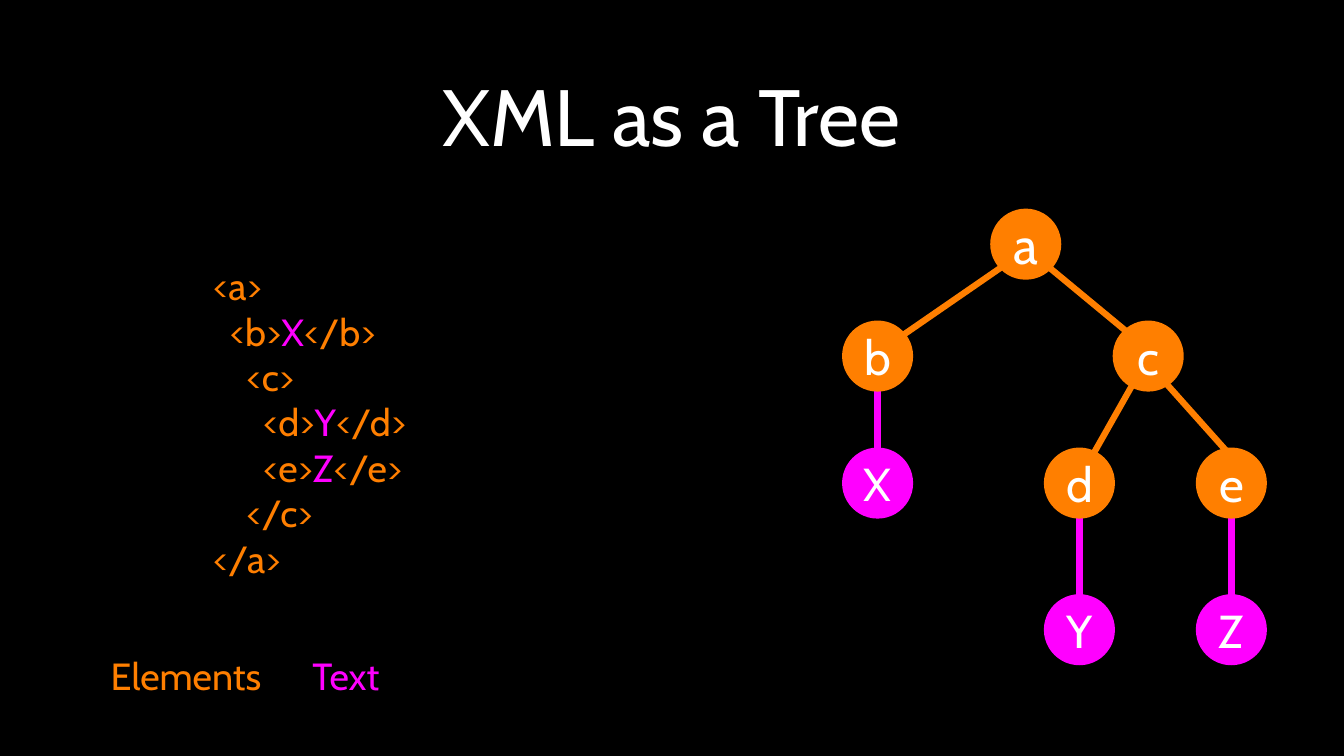
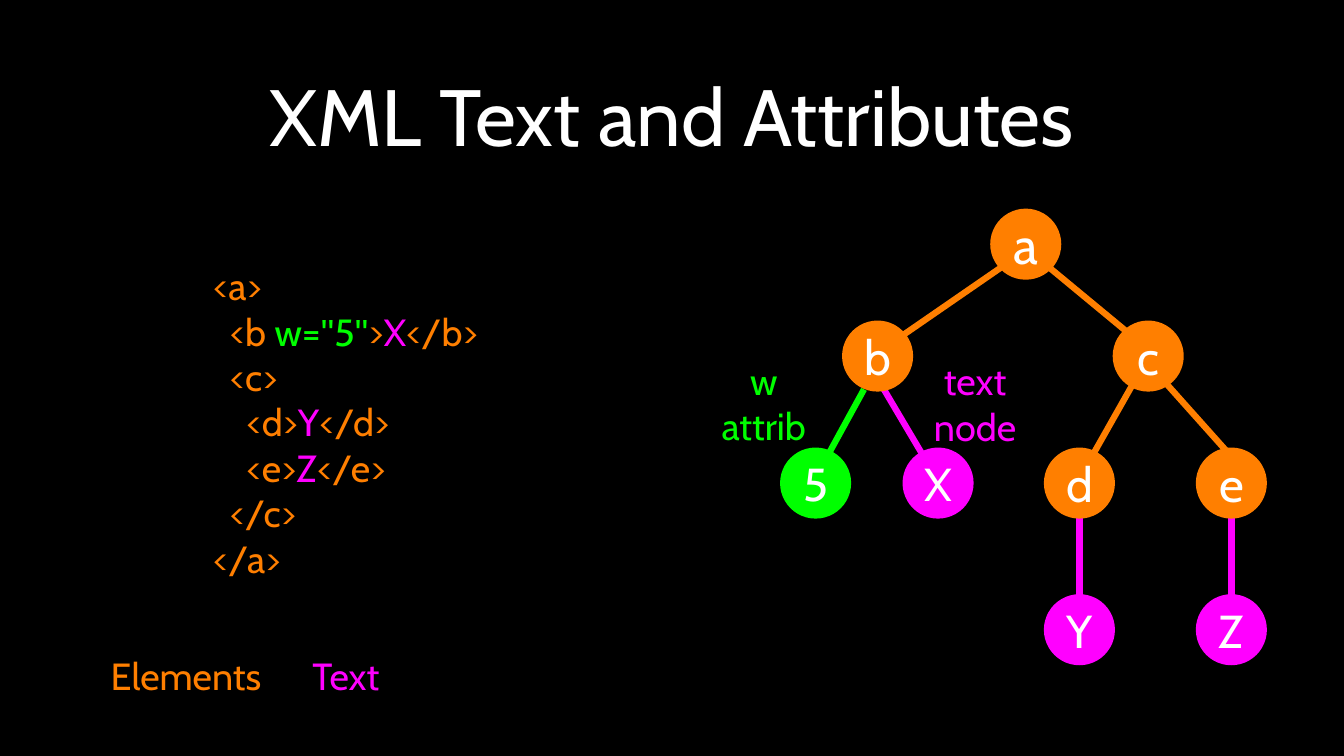
from pptx import Presentation
from pptx.dml.color import RGBColor
from pptx.enum.shapes import MSO_CONNECTOR, MSO_SHAPE
from pptx.enum.text import MSO_ANCHOR, PP_ALIGN
from pptx.oxml.ns import qn
from pptx.util import Inches, Pt
from lxml import etree

CENTER, LEFT = PP_ALIGN.CENTER, PP_ALIGN.LEFT
MIDDLE = MSO_ANCHOR.MIDDLE
ELLIPSE, STRAIGHT = MSO_SHAPE.OVAL, MSO_CONNECTOR.STRAIGHT

BLACK = RGBColor(0x00, 0x00, 0x00)
WHITE = RGBColor(0xFF, 0xFF, 0xFF)
ELEMENT = RGBColor(0xFF, 0x7F, 0x00)
TEXT = RGBColor(0xFF, 0x00, 0xFF)
ATTRIBUTE = RGBColor(0x00, 0xFF, 0x00)

FONT, QUOTE_FONT = "Cabin", "Arial"
TITLE_SIZE, BODY_SIZE = 76, 36
NODE_SIZE = {ELEMENT: 46, TEXT: 44, ATTRIBUTE: 44}
ROOT_SIZE = 49
DIAMETER = 0.94
INDENT = 0.22  # one level of code
EDGE_WIDTH = 6


def leaf(name, value):
    """Code runs of an element that holds only text."""
    return [(f"<{name}>", ELEMENT), (value, TEXT), (f"</{name}>", ELEMENT)]


def tag(name):
    return [(f"<{name}>", ELEMENT)]


# Tree parts on both slides: nodes as (label, colour, left, top),
# edges as (colour, start, end)
TREE_NODES = [
    ("a", ELEMENT, 13.1, 2.76),
    ("b", ELEMENT, 11.14, 4.24),
    ("c", ELEMENT, 14.72, 4.24),
    ("d", ELEMENT, 13.81, 5.92),
    ("e", ELEMENT, 15.82, 5.92),
    ("Y", TEXT, 13.81, 7.86),
    ("Z", TEXT, 15.82, 7.86),
]
TREE_EDGES = [
    (TEXT, (14.28, 6.77), (14.28, 7.9)),
    (TEXT, (16.29, 6.77), (16.29, 7.9)),
    (ELEMENT, (13.4, 3.43), (11.82, 4.52)),
    (ELEMENT, (13.81, 3.48), (14.97, 4.44)),
    (ELEMENT, (15.01, 5.04), (14.41, 6.1)),
    (ELEMENT, (15.38, 5.02), (16.22, 5.96)),
]
# Labels as (lines, colour, box)
LEGEND = [
    (["Elements"], ELEMENT, (1.3, 8.6, 2.32, 0.68)),
    (["Text"], TEXT, (4.07, 8.6, 1.01, 0.68)),
]

# Code lines are (indent level, runs)
SLIDES = [
    {
        "title": "XML as a Tree",
        "code_width": 2.98,
        "code": [(0, tag("a")), (1, leaf("b", "X")), (2, tag("c")),
                 (3, leaf("d", "Y")), (3, leaf("e", "Z")),
                 (2, tag("/c")), (0, tag("/a"))],
        "nodes": [("X", TEXT, 11.14, 5.92)],
        "edges": [(TEXT, (11.61, 5.01), (11.61, 6.14))],
        "labels": [],
    },
    {
        "title": "XML Text and Attributes",
        "code_width": 4.02,
        "code": [(0, tag("a")),
                 (1, [("<b ", ELEMENT), ("w=", ATTRIBUTE), ('"', ATTRIBUTE),
                      ("5", ATTRIBUTE), ('"', ATTRIBUTE), (">", ELEMENT),
                      ("X", TEXT), ("</b>", ELEMENT)]),
                 (1, tag("c")), (2, leaf("d", "Y")), (2, leaf("e", "Z")),
                 (1, tag("/c")), (0, tag("/a"))],
        "nodes": [("X", TEXT, 11.94, 5.92), ("5", ATTRIBUTE, 10.32, 5.92)],
        "edges": [(TEXT, (11.61, 5.01), (12.22, 6.04)),
                  (ATTRIBUTE, (11.43, 5.15), (10.97, 5.99))],
        "labels": [(["w", "attrib"], ATTRIBUTE, (9.49, 4.7, 1.23, 1.25)),
                   (["text", "node"], TEXT, (12.33, 4.71, 1.14, 1.25))],
    },
]


def write(shape, lines, size, align=CENTER, inset=0):
    """Fill a shape with lines given as (indent level, runs)."""
    tf = shape.text_frame
    tf.word_wrap = True
    tf.vertical_anchor = MIDDLE
    tf.margin_left = tf.margin_right = Inches(inset)
    tf.margin_top = tf.margin_bottom = Inches(inset)
    for i, (level, runs) in enumerate(lines):
        p = tf.add_paragraph() if i else tf.paragraphs[0]
        p.alignment = align
        if level:
            p._p.get_or_add_pPr().set("marL", str(Inches(level * INDENT)))
        for text, color in runs:
            r = p.add_run()
            r.text = text
            r.font.name = QUOTE_FONT if text == '"' else FONT
            r.font.size = Pt(size)
            r.font.color.rgb = color


def add_text(s, box, lines, align=CENTER):
    tb = s.shapes.add_textbox(*map(Inches, box))
    write(tb, lines, BODY_SIZE, align)


def add_edge(s, color, start, end):
    line = s.shapes.add_connector(STRAIGHT, *map(Inches, start + end))
    line.line.color.rgb = color
    line.line.width = Pt(EDGE_WIDTH)
    etree.SubElement(line._element.spPr, qn("a:effectLst"))


def add_node(s, label, color, left, top):
    sp = s.shapes.add_shape(ELLIPSE, *map(Inches, (left, top, DIAMETER, DIAMETER)))
    sp.shadow.inherit = False
    sp.fill.solid()
    sp.fill.fore_color.rgb = color
    sp.line.fill.background()
    size = ROOT_SIZE if label == "a" else NODE_SIZE[color]
    write(sp, [(0, [(label, WHITE)])], size)


def add_slide(prs, content):
    s = prs.slides.add_slide(prs.slide_layouts[5])

    # Title
    title = s.shapes.title
    title.left, title.top, title.width, title.height = map(
        Inches, (1.26, 0.26, 15.24, 2.51))
    write(title, [(0, [(content["title"], WHITE)])], TITLE_SIZE, inset=0.04)

    # XML code
    add_text(s, (2.82, 3.46, content["code_width"], 4.24), content["code"], LEFT)

    # Tree: edges lie under the nodes
    for edge in TREE_EDGES + content["edges"]:
        add_edge(s, *edge)
    for node in TREE_NODES + content["nodes"]:
        add_node(s, *node)

    # Node labels and legend
    for lines, color, box in content["labels"] + LEGEND:
        add_text(s, box, [(0, [(line, color)]) for line in lines])


def main():
    prs = Presentation()
    prs.slide_width, prs.slide_height = Inches(17.78), Inches(10)
    background = prs.slide_master.background.fill
    background.solid()
    background.fore_color.rgb = BLACK
    for content in SLIDES:
        add_slide(prs, content)
    prs.save("out.pptx")


if __name__ == "__main__":
    main()
